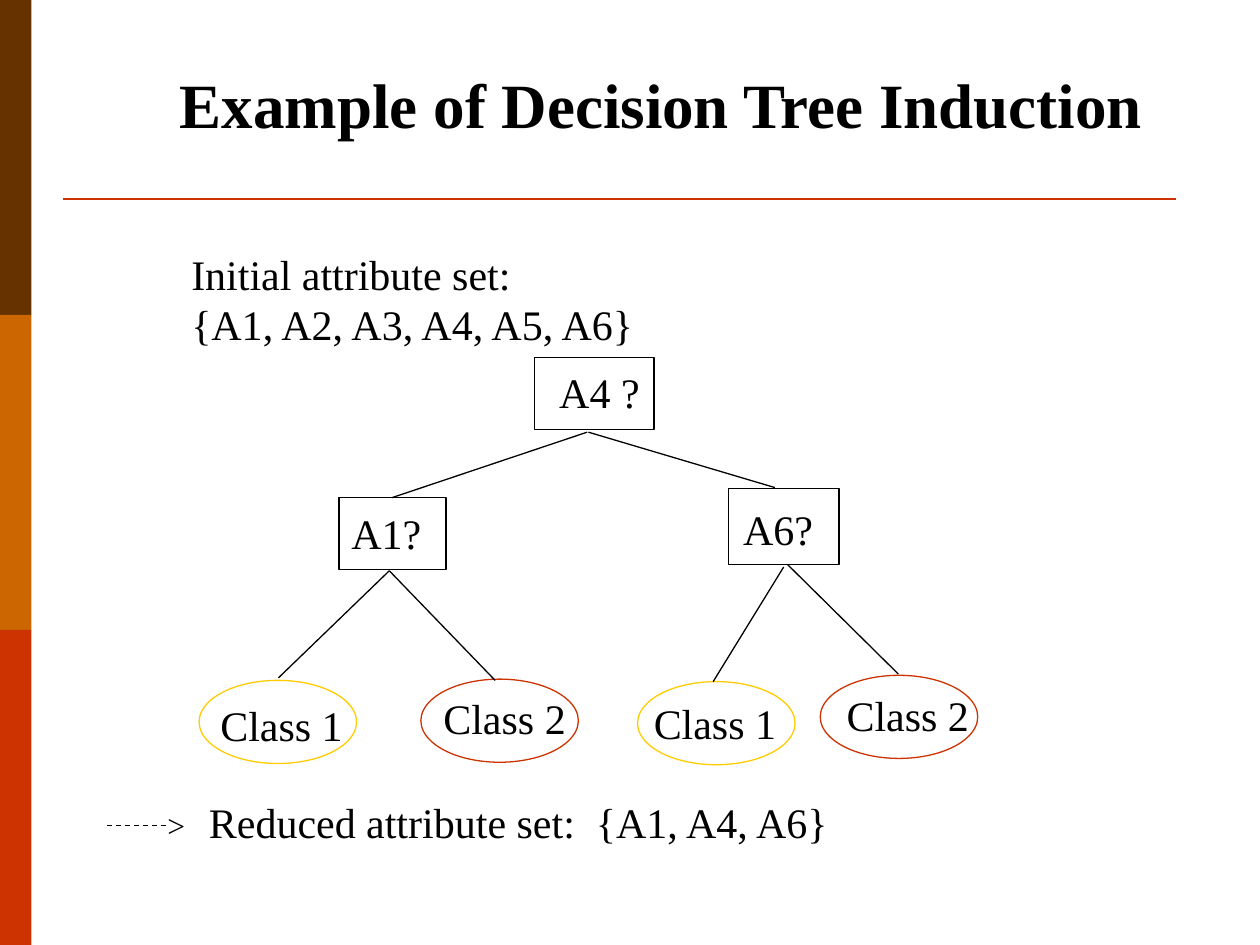
from lxml import etree
from pptx import Presentation
from pptx import util as u
from pptx.dml.color import RGBColor
from pptx.enum import dml, shapes, text
from pptx.oxml.ns import qn

FONT = "Times New Roman"
BLACK, RED, YELLOW = "000000", "CC3300", "FFCC00"


def color(value):
    """Turn a hex string into a colour."""
    return RGBColor.from_string(value)


def add_text(parent, x, y, w, h, lines, size=24, bold=False, wrap=False):
    """Add a text box with one paragraph for each line."""
    tf = parent.add_textbox(u.Inches(x), u.Inches(y), u.Inches(w), u.Inches(h)).text_frame
    tf.word_wrap = wrap
    tf.auto_size = text.MSO_AUTO_SIZE.SHAPE_TO_FIT_TEXT
    for i, line in enumerate(lines):
        p = tf.add_paragraph() if i else tf.paragraphs[0]
        r = p.add_run()
        r.text = line
        r.font.name, r.font.size, r.font.bold = FONT, u.Pt(size), bold
        r.font.color.rgb = color(BLACK)


def add_shape(parent, kind, x, y, w, h, fill=None, line=None):
    """Add a preset shape with an optional fill and outline."""
    sp = parent.add_shape(kind, u.Inches(x), u.Inches(y), u.Inches(w), u.Inches(h))
    sp.shadow.inherit = False
    if fill:
        sp.fill.solid()
        sp.fill.fore_color.rgb = color(fill)
    else:
        sp.fill.background()
    if line:
        sp.line.color.rgb = color(line)
        sp.line.width = u.Pt(0.75)
    else:
        sp.line.fill.background()


def add_line(parent, x1, y1, x2, y2, stroke=BLACK, width=0.75, dash=None):
    """Add a straight line without a shadow."""
    ends = [u.Inches(n) for n in (x1, y1, x2, y2)]
    line = parent.add_connector(shapes.MSO_CONNECTOR.STRAIGHT, *ends)
    line.line.color.rgb = color(stroke)
    line.line.width = u.Pt(width)
    if dash:
        line.line.dash_style = dash
    etree.SubElement(line._element.spPr, qn("a:effectLst"))


def add_sidebar(s, x, y, w, h):
    """Stack equal colour bands down the box."""
    bands = ["663300", "CC6600", RED]
    step = h / len(bands)
    for i, fill in enumerate(bands):
        add_shape(s.shapes, shapes.MSO_SHAPE.RECTANGLE, x, y + i * step, w, step, fill=fill)


def add_header(s, x, y, w, h):
    """Place the title with the rule along the foot of the box."""
    add_line(s.shapes, x, y + h, x + w, y + h, RED, 1.5)
    add_text(s.shapes, x + 0.83, y, 8.42, 0.7, ["Example of Decision Tree Induction"],
             36, bold=True, wrap=True)


def add_tree(s, x, y):
    """Draw the decision tree from the top left corner of its box."""
    tests = [
        ("A4 ?", (2.66, 0, 0.95, 0.57), (2.76, 0.02, 0.97)),
        ("A1?", (1.11, 1.11, 0.85, 0.57), (1.11, 1.14, 0.8)),
        ("A6?", (4.2, 1.04, 0.88, 0.6), (4.22, 1.11, 0.8)),
    ]
    leaves = [
        ("Class 1", YELLOW, (0, 2.56), (0.07, 2.66)),
        ("Class 2", RED, (1.76, 2.55), (1.84, 2.61)),
        ("Class 1", YELLOW, (3.48, 2.57), (3.51, 2.65)),
        ("Class 2", RED, (4.93, 2.52), (5.04, 2.58)),
    ]
    branches = [
        (3.08, 0.59, 1.53, 1.11), (3.09, 0.59, 4.57, 1.03),
        (1.51, 1.69, 0.63, 2.54), (1.51, 1.69, 2.35, 2.56),
        (4.64, 1.66, 4.08, 2.57), (4.67, 1.64, 5.55, 2.51),
    ]
    for label, (bx, by, bw, bh), (tx, ty, tw) in tests:
        add_shape(s.shapes, shapes.MSO_SHAPE.RECTANGLE, x + bx, y + by, bw, bh, line=BLACK)
        add_text(s.shapes, x + tx, y + ty, tw, 0.5, [label])
    for label, stroke, (bx, by), (tx, ty) in leaves:
        add_shape(s.shapes, shapes.MSO_SHAPE.OVAL, x + bx, y + by, 1.25, 0.66, line=stroke)
        add_text(s.shapes, x + tx, y + ty, 1.18, 0.5, [label])
    for x1, y1, x2, y2 in branches:
        add_line(s.shapes, x + x1, y + y1, x + x2, y + y2)


def add_result(s, x, y):
    """Place the dashed arrow and the reduced set beside it."""
    arrow = s.shapes.add_group_shape().shapes
    add_line(arrow, x, y + 0.28, x + 0.48, y + 0.28, dash=dml.MSO_LINE.DASH)
    add_text(arrow, x + 0.38, y + 0.08, 0.34, 0.4, [">"], 18)
    add_text(s.shapes, x + 0.71, y, 5.15, 0.5, ["Reduced attribute set:  {A1, A4, A6}"])


def main():
    """Build the slide and save it."""
    prs = Presentation()
    prs.slide_width, prs.slide_height = u.Inches(10), u.Inches(7.5)
    s = prs.slides.add_slide(prs.slide_layouts[6])
    add_sidebar(s, 0, 0, 0.25, 7.5)
    add_header(s, 0.5, 0.47, 8.83, 1.11)
    add_text(s.shapes, 1.42, 1.92, 3.8, 0.9,
             ["Initial attribute set:", "{A1, A2, A3, A4, A5, A6}"])
    add_tree(s, 1.58, 2.84)
    add_result(s, 0.85, 6.27)
    prs.save("out.pptx")


if __name__ == "__main__":
    main()
